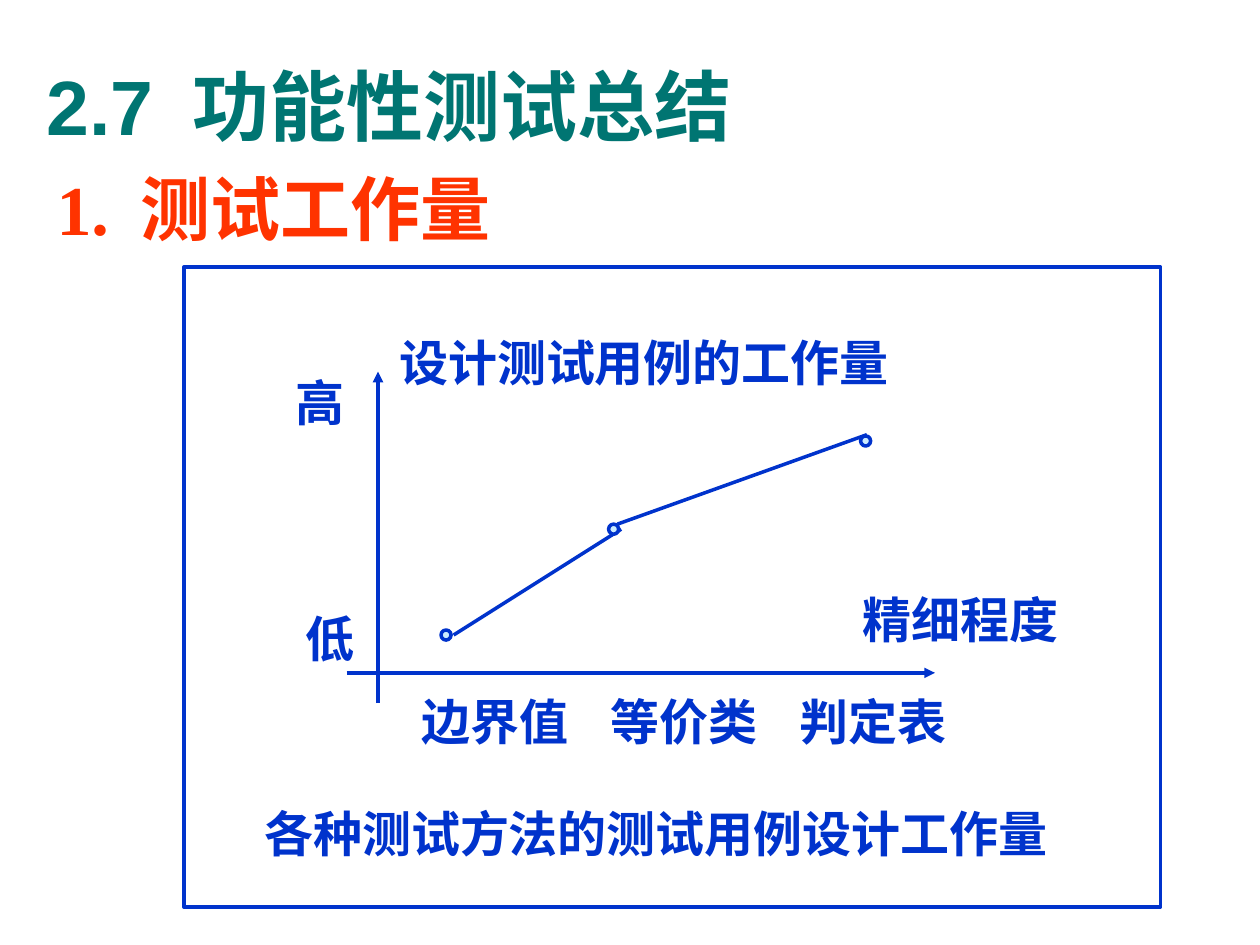
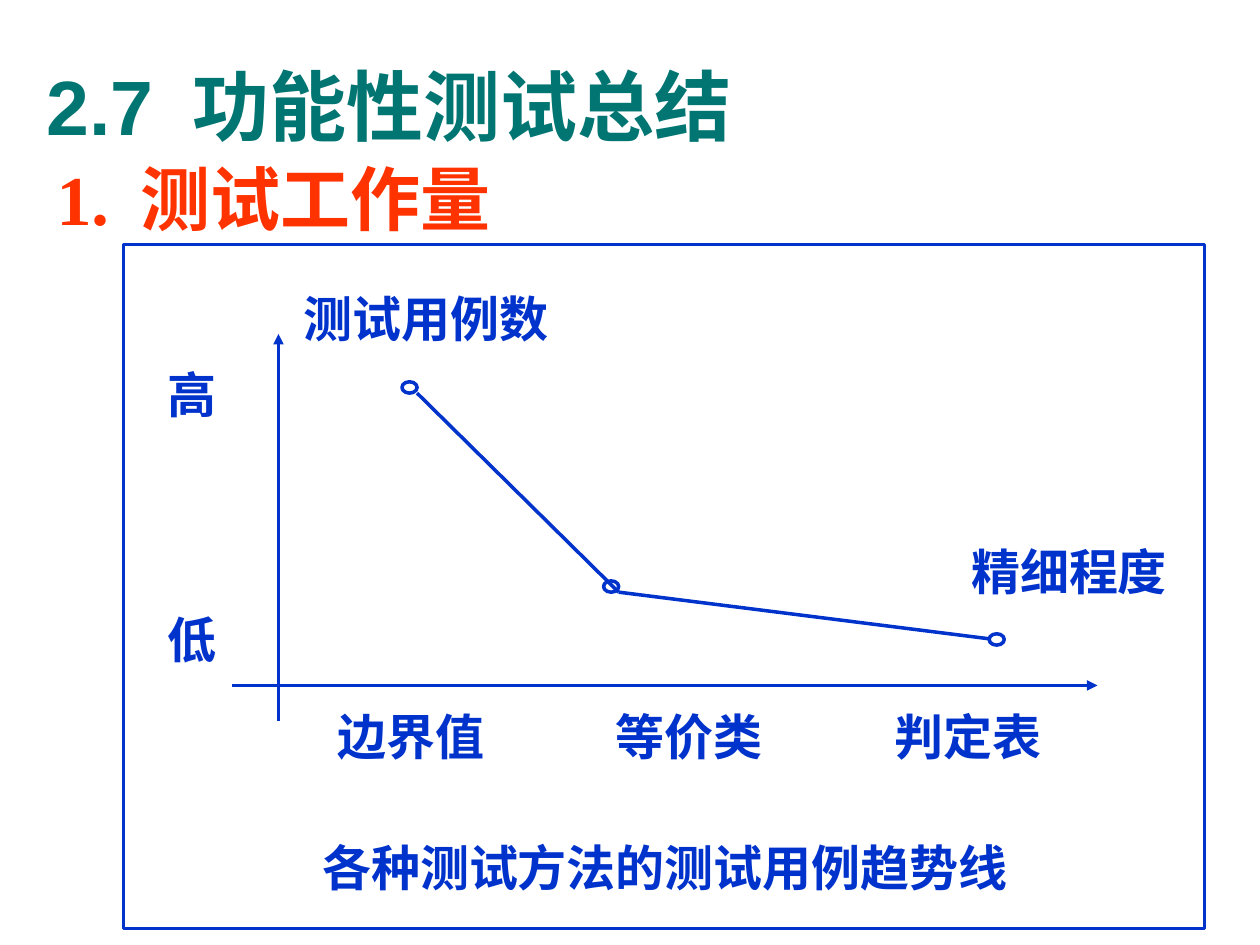
from lxml.etree import SubElement
from pptx import Presentation
from pptx.dml.color import RGBColor
from pptx.enum.shapes import MSO_CONNECTOR, MSO_SHAPE
from pptx.enum.text import MSO_ANCHOR, MSO_AUTO_SIZE, PP_ALIGN
from pptx.oxml.ns import qn
from pptx.util import Inches, Pt

BLUE = RGBColor(0x00, 0x33, 0xCC)
PALE = RGBColor(0xCC, 0xEC, 0xFF)
RED = RGBColor(0xFF, 0x33, 0x00)
TEAL = RGBColor(0x00, 0x75, 0x72)
LABEL_H = 0.57
METHODS = ("边界值", "等价类", "判定表")

# Lengths in inches; all but the box itself count from the box's corner.
EFFORT = dict(
    box=(1.46, 2.12, 7.75, 5.08),
    axes=[((1.29, 3.22), (5.96, 3.22)), ((1.54, 3.46), (1.54, 0.83))],
    labels=[("设计测试用例的工作量", 1.61, 0.47, 4.11),
            ("精细程度", 5.29, 2.51, 1.76)],
    marks=[("低", 0.87, 2.66, 0.53), ("高", 0.79, 0.79, 0.53),
           ("各种测试方法的测试用例设计工作量", 0.54, 4.21, 6.5)],
    ticks=(1.79, 3.32, 1.5),
    trend=[((2.14, 2.92), (3.47, 2.08)), ((3.44, 2.04), (5.42, 1.33))],
    dots=[(2.04, 2.88), (3.37, 2.04), (5.37, 1.34)],
    dot_size=(0.08, 0.08), dot_fill=PALE)

CASES = dict(
    box=(0.98, 1.94, 8.58, 5.43),
    axes=[((0.86, 3.5), (7.73, 3.5)), ((1.23, 3.78), (1.23, 0.71))],
    labels=[("测试用例数", 1.33, 0.3, 2.15),
            ("精细程度", 6.63, 2.31, 1.77)],
    marks=[("低", 0.25, 2.85, 0.79), ("高", 0.25, 0.9, 0.79),
           ("各种测试方法的测试用例趋势线", 1.48, 4.66, 5.76)],
    ticks=(1.6, 3.62, 2.21),
    trend=[((2.33, 1.18), (3.93, 2.76)), ((3.93, 2.76), (6.87, 3.13))],
    dots=[(2.21, 1.09), (3.81, 2.67), (6.87, 3.09)],
    dot_size=(0.12, 0.09), dot_fill=None)


def write(shape, *runs, size=28, color=BLUE, wrap=True, hang=0,
          anchor=MSO_ANCHOR.TOP):
    """Fill a shape with one bold line of (text, font) runs."""
    frame = shape.text_frame
    frame.auto_size = MSO_AUTO_SIZE.NONE
    frame.word_wrap = wrap
    frame.vertical_anchor = anchor
    para = frame.paragraphs[0]
    para.alignment = PP_ALIGN.LEFT
    if hang:
        props = para._p.get_or_add_pPr()
        props.set("marL", str(Inches(hang)))
        props.set("indent", str(-Inches(hang)))
    for text, face in runs:
        run = para.add_run()
        run.text = text
        font = run.font
        font.name, font.size, font.bold = face, Pt(size), True
        font.color.rgb = color
    return para


def add_text(slide, box, *runs, **style):
    shape = slide.shapes.add_textbox(*map(Inches, box))
    return write(shape, *runs, **style)


def add_shape(slide, kind, box, fill=None):
    shape = slide.shapes.add_shape(kind, *map(Inches, box))
    shape.shadow.inherit = False
    if fill is None:
        shape.fill.background()
    else:
        shape.fill.solid()
        shape.fill.fore_color.rgb = fill
    shape.line.color.rgb = BLUE
    shape.line.width = Pt(2)


def add_line(slide, start, end, arrow=False):
    line = slide.shapes.add_connector(
        MSO_CONNECTOR.STRAIGHT, *map(Inches, (*start, *end)))
    line.line.color.rgb = BLUE
    line.line.width = Pt(2)
    if arrow:
        SubElement(line.line._get_or_add_ln(), qn("a:tailEnd"), type="triangle")
    SubElement(line._element.spPr, qn("a:effectLst"))


def add_heads(slide, top):
    """Set the title, and the red heading whose box starts at top."""
    title = slide.shapes.title
    title.left, title.top, title.width, title.height = map(
        Inches, (0.27, 0.21, 9.34, 1.25))
    write(title, ("2.7\t功能性测试总结", "Arial"), size=44, color=TEAL,
          hang=1.16, anchor=MSO_ANCHOR.MIDDLE)
    head = add_text(slide, (0.35, top, 9.21, 5.91),
                    ("1.\t", "Times New Roman"), ("测试工作量", "Arial"),
                    size=40, color=RED, hang=0.67)
    head.line_spacing = 1.05
    head.space_before = head.space_after = Pt(2)


def add_plot(slide, box, axes, labels, marks, ticks, trend, dots,
             dot_size, dot_fill):
    """Draw a framed sketch of a trend over the three test methods."""
    left, top = box[:2]

    def place(point):
        return left + point[0], top + point[1]

    add_shape(slide, MSO_SHAPE.RECTANGLE, box)
    for start, end in axes:
        add_line(slide, place(start), place(end), arrow=True)
    x, y, step = ticks
    names = [(name, x + i * step, y, 1.37) for i, name in enumerate(METHODS)]
    for group, wrap in ((labels + names, False), (marks, True)):
        for text, *spot, width in group:
            add_text(slide, (*place(spot), width, LABEL_H),
                     (text, "Arial"), wrap=wrap)
    for start, end in trend:
        add_line(slide, place(start), place(end))
    for dot in dots:
        add_shape(slide, MSO_SHAPE.OVAL, (*place(dot), *dot_size), dot_fill)


def main():
    deck = Presentation()
    deck.slide_width, deck.slide_height = Inches(10), Inches(7.5)
    for top, plot in ((1.23, EFFORT), (1.15, CASES)):
        slide = deck.slides.add_slide(deck.slide_layouts[5])
        add_plot(slide, **plot)
        add_heads(slide, top)
    deck.save("out.pptx")


if __name__ == "__main__":
    main()
